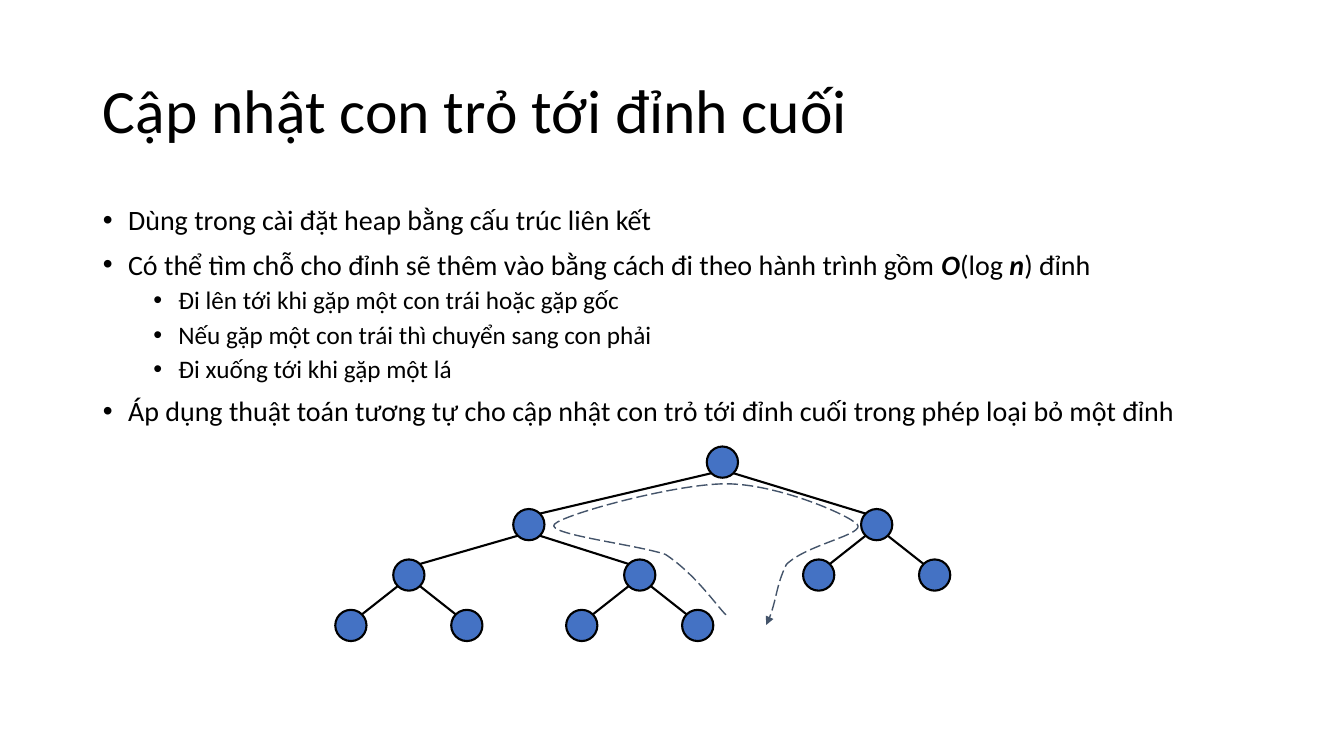
from lxml.etree import SubElement as Sub
from pptx import Presentation as Deck
from pptx.dml.color import RGBColor as Rgb
from pptx.enum.dml import MSO_LINE as Dash
from pptx.enum.shapes import MSO_CONNECTOR as Conn, MSO_SHAPE as Kind
from pptx.enum.text import MSO_ANCHOR as Anchor, MSO_AUTO_SIZE as Fit, PP_ALIGN as Align
from pptx.oxml.ns import qn
from pptx.util import Inches, Pt

CELL = Inches(0.1)
RAD = 1.55
EDGE = 1.1


def color(code):
    return Rgb.from_string(code)


def grid(*cells):
    return [round(n * CELL) for n in cells]


class Page:
    font = "Calibri"
    ink = "000000"
    fill = "4472C4"
    trail = "44546A"

    def __init__(self, deck):
        self.slide = deck.slides.add_slide(deck.slide_layouts[1])
        self.shapes = self.slide.shapes

    def place(self, holder, box, anchor):
        holder.left, holder.top, holder.width, holder.height = grid(*box)
        frame = holder.text_frame
        frame.auto_size = Fit.NONE
        frame.word_wrap = True
        frame.vertical_anchor = anchor
        return frame

    def run(self, para, text, size, strong=False):
        run = para.add_run()
        run.text = text
        font = run.font
        font.name, font.size = self.font, Pt(size)
        font.bold = font.italic = strong
        font.color.rgb = color(self.ink)

    def title(self, text, box):
        para = self.place(self.shapes.title, box, Anchor.MIDDLE).paragraphs[0]
        para.alignment = Align.LEFT
        para.line_spacing = 0.9
        self.run(para, text, 44)

    def bullets(self, items, box):
        frame = self.place(self.slide.placeholders[1], box, Anchor.TOP)
        for i, (level, runs) in enumerate(items):
            para = frame.add_paragraph() if i else frame.paragraphs[0]
            para.level = level
            para.line_spacing = 0.9
            para.space_before = Pt((5 if level else 10) if i else 0)
            props = para._p.get_or_add_pPr()
            props.set("marL", str(Inches(0.25 + 0.5 * level)))
            props.set("indent", str(Inches(-0.25)))
            Sub(props, qn("a:buFont"), typeface="Arial")
            Sub(props, qn("a:buChar"), char="•")
            for text, strong in runs:
                self.run(para, text, 18 if level else 20, strong)

    def stroke(self, line, code, width):
        line.color.rgb = color(code)
        line.width = Pt(width)

    def node(self, x, y):
        dot = self.shapes.add_shape(
            Kind.OVAL, *grid(x - RAD, y - RAD, 2 * RAD, 2 * RAD))
        dot.shadow.inherit = False
        dot.fill.solid()
        dot.fill.fore_color.rgb = color(self.fill)
        self.stroke(dot.line, self.ink, 1.5)

    def edge(self, x, y, to_x, to_y):
        side = EDGE if to_x > x else -EDGE
        ends = grid(x + side, y + EDGE, to_x - side, to_y - EDGE)
        link = self.shapes.add_connector(Conn.STRAIGHT, *ends)
        self.stroke(link.line, self.ink, 1.5)
        Sub(link._element.spPr, qn("a:effectLst"))

    def tree(self, x, level, kids):
        y = ROWS[level]
        for kid_x, *rest in kids:
            self.edge(x, y, kid_x, ROWS[level + 1])
            self.tree(kid_x, level + 1, *rest)
        self.node(x, y)

    def curve(self, start, points):
        pen = self.shapes.build_freeform(*start, scale=CELL)
        pen.add_line_segments(points, close=False)
        shape = pen.convert_to_shape()
        shape.shadow.inherit = False
        shape.fill.background()
        self.stroke(shape.line, self.trail, 1)
        shape.line.dash_style = Dash.LONG_DASH
        Sub(shape.line._ln, qn("a:tailEnd"), type="triangle")
        route = next(shape._element.iter(qn("a:path")))
        steps = route.findall(qn("a:lnTo"))
        for i in range(0, len(steps), 3):
            bend = Sub(route, qn("a:cubicBezTo"))
            for step in steps[i:i + 3]:
                bend.append(step[0])
                route.remove(step)


ROWS = [45.85, 52.05, 57.05, 62.05]
GAP = 5.75


def pair(x):
    return [(x - GAP, []), (x + GAP, [])]


ITEMS = [
    (0, [("Dùng trong cài đặt heap bằng cấu trúc liên kết", False)]),
    (0, [("Có thể tìm chỗ cho đỉnh sẽ thêm vào bằng cách đi theo hành trình gồm ", False),
         ("O", True), ("(log ", False), ("n", True), (") đỉnh", False)]),
    (1, [("Đi lên tới khi gặp một con trái hoặc gặp gốc", False)]),
    (1, [("Nếu gặp một con trái thì chuyển sang con phải", False)]),
    (1, [("Đi xuống tới khi gặp một lá", False)]),
    (0, [("Áp dụng thuật toán tương tự cho cập nhật con trỏ tới đỉnh cuối "
          "trong phép loại bỏ một đỉnh", False)]),
]
LEFT = (52.45, [(40.55, pair(40.55)), (63.45, pair(63.45))])
RIGHT = (86.95, pair(86.95))
TRAIL = [
    (70.9, 60.2), (68.7, 56.7), (65.8, 55.1),
    (63, 53.6), (53.9, 53.2), (54.9, 52.1),
    (55.9, 51), (66.7, 48.5), (71.7, 48.5),
    (76.6, 48.5), (83.5, 50.7), (84.6, 52),
    (85.7, 53.3), (79.7, 54.5), (78.3, 56.1),
    (76.9, 57.7), (76.6, 60.4), (76.1, 61.6),
]


def main():
    deck = Deck()
    deck.slide_width, deck.slide_height = Inches(13.33), Inches(7.5)
    page = Page(deck)
    page.title("Cập nhật con trỏ tới đỉnh cuối", (9.2, 4, 115, 14.5))
    page.bullets(ITEMS, (9.2, 20, 115, 47.6))
    page.tree(71.65, 0, [LEFT, RIGHT])
    page.curve((71.9, 61.3), TRAIL)
    deck.save("out.pptx")


if __name__ == "__main__":
    main()
